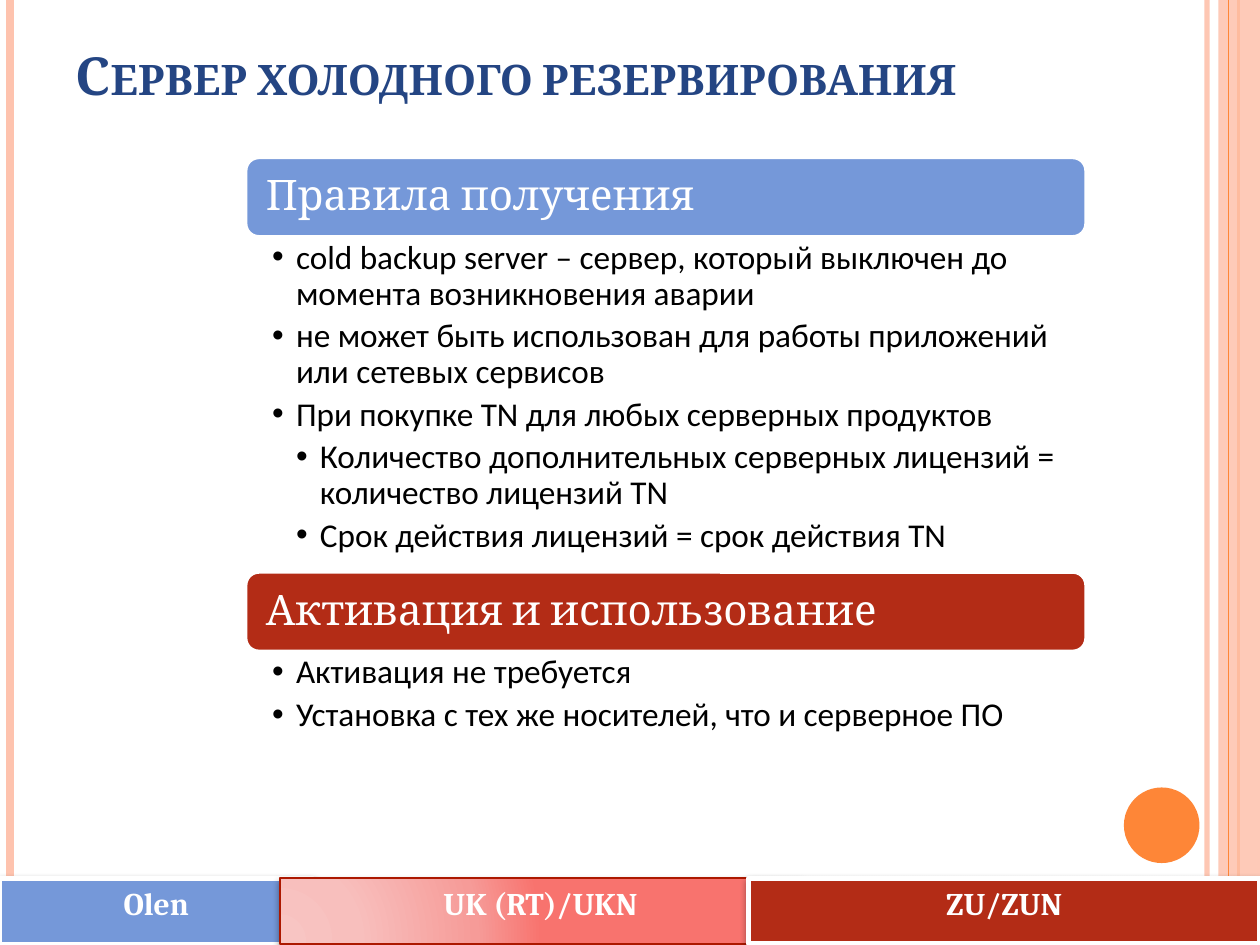
import lxml.etree
import pptx
import pptx.dml.color
import pptx.enum.shapes
import pptx.enum.text
import pptx.oxml.ns
import pptx.util

Inches = pptx.util.Inches
Pt = pptx.util.Pt
RGB = pptx.dml.color.RGBColor
Shape = pptx.enum.shapes.MSO_SHAPE
Align = pptx.enum.text.PP_ALIGN
Anchor = pptx.enum.text.MSO_ANCHOR
qn = pptx.oxml.ns.qn

WHITE = RGB(0xFF, 0xFF, 0xFF)
BLACK = RGB(0x00, 0x00, 0x00)
NAVY = RGB(0x24, 0x45, 0x83)
BLUE = RGB(0x75, 0x98, 0xD9)
RED = RGB(0xB3, 0x2C, 0x16)
BRICK = RGB(0xAC, 0x18, 0x00)
PEACH = RGB(0xFE, 0xC3, 0xAE)
ORANGE = RGB(0xFE, 0x86, 0x37)
ROSE = ((0, RGB(0xF8, 0xC5, 0xC3)), (30, RGB(0xF8, 0xBF, 0xBD)),
        (75, RGB(0xF6, 0x9B, 0x98)), (100, RGB(0xF8, 0x73, 0x6E)))

RULES = (
    ("cold backup server – сервер, который выключен до момента возникновения аварии", 1),
    ("не может быть использован для работы приложений\vили сетевых сервисов", 1),
    ("При покупке TN для любых серверных продуктов", 1),
    ("Количество дополнительных серверных лицензий = количество лицензий TN", 2),
    ("Срок действия лицензий = срок действия TN", 2),
)
USES = (
    ("Активация не требуется", 1),
    ("Установка с тех же носителей, что и серверное ПО", 1),
)


def node(top, tag, **attrs):
    """Add an XML child and return it."""
    kid = lxml.etree.SubElement(top, qn(tag))
    for key, val in attrs.items():
        kid.set(key, str(val))
    return kid


def fade(color, part):
    """Set the opacity of a solid colour, in percent."""
    node(color.find(".//" + qn("a:srgbClr")), "a:alpha", val=part * 1000)


def write(frame, text, font="Cambria", size=18, color=WHITE, bold=False,
          align=Align.LEFT, level=0, space=None, after=0):
    """Add one formatted paragraph, bulleted when it has a level."""
    para = frame.paragraphs[0]
    if para.runs:
        para = frame.add_paragraph()
    para.text = text
    para.alignment = align
    para.space_before = Pt(0)
    para.space_after = Pt(after)
    para.line_spacing = space
    for run in para.runs:
        run.font.name, run.font.size = font, Pt(size)
        run.font.bold, run.font.color.rgb = bold, color
    if level:
        props = para._p.get_or_add_pPr()
        props.set("marL", str(Inches(0.19 * level)))
        props.set("indent", str(-Inches(0.19)))
        node(props, "a:buFont", typeface="Arial")
        node(props, "a:buChar", char="•")
    return para


def setup(frame, side, edge, anchor):
    """Wrap a text frame and set its margins and anchor."""
    frame.word_wrap = True
    frame.margin_left, frame.margin_right = (Inches(x) for x in side)
    frame.margin_top = frame.margin_bottom = Inches(edge)
    frame.vertical_anchor = anchor


def block(slide, box, kind, fill, line=None, width=1):
    """Draw a filled shape in the box."""
    shape = slide.shapes.add_shape(kind, *(Inches(x) for x in box))
    shape.shadow.inherit = False
    shape.fill.solid()
    shape.fill.fore_color.rgb = fill
    if line is None:
        shape.line.fill.background()
    else:
        shape.line.color.rgb = line
        shape.line.width = Pt(width)
    return shape


def stripe(slide, x, color, width, part=100):
    """Draw a full-height line at x."""
    line = slide.shapes.add_connector(
        pptx.enum.shapes.MSO_CONNECTOR.STRAIGHT,
        Inches(x), Inches(0), Inches(x), Inches(7.5))
    line.line.color.rgb = color
    line.line.width = Pt(width)
    if part < 100:
        fade(line._element.spPr, part)
    node(line._element.spPr, "a:effectLst")


def frame_page(slide):
    """Draw the side stripes and the dot."""
    stripe(slide, 9.58, PEACH, 3, 93)
    stripe(slide, 0.08, PEACH, 4.5)
    stripe(slide, 9.83, ORANGE, 1.5)
    band = block(slide, (9.67, 0, 0.33, 7.5), Shape.RECTANGLE, PEACH)
    fade(band._element.spPr, 87)
    stripe(slide, 9.75, ORANGE, 0.75)
    block(slide, (8.92, 6.25, 0.6, 0.6), Shape.OVAL, ORANGE)


def glow(shape, stops):
    """Swap the fill for a round gradient."""
    props = shape._element.spPr
    grad = lxml.etree.Element(qn("a:gradFill"), rotWithShape="1")
    props.replace(props.find(qn("a:solidFill")), grad)
    chain = node(grad, "a:gsLst")
    for pos, color in stops:
        node(node(chain, "a:gs", pos=pos * 1000), "a:srgbClr", val=color)
    round_to = node(grad, "a:path", path="circle")
    node(round_to, "a:fillToRect", l=5000, t=100000, r=120000, b=10000)


def shade(shape):
    """Give the shape a soft shadow below."""
    effect = shape._element.spPr.find(qn("a:effectLst"))
    cast = node(effect, "a:outerShdw", blurRad=Pt(4), dist=Pt(2),
                dir=5400000, rotWithShape=0)
    node(node(cast, "a:srgbClr", val=BLACK), "a:alpha", val=40000)


def tab(slide, box, text, fill, line, width, stops=None):
    """Draw one labelled part of the bottom bar."""
    shape = block(slide, box, Shape.RECTANGLE, fill, line, width)
    if stops:
        glow(shape, stops)
    shade(shape)
    setup(shape.text_frame, (0.1, 0.1), 0.05, Anchor.TOP)
    write(shape.text_frame, text, bold=True, align=Align.CENTER)


def foot(slide, top):
    """Draw the bottom bar of licence types."""
    tab(slide, (0, top, 2.48, 0.53), "Olen", BLUE, WHITE, 2.75)
    tab(slide, (2.22, top, 4.14, 0.52), "UK (RT)/UKN", ROSE[0][1], BRICK, 1, ROSE)
    tab(slide, (5.94, top, 4.06, 0.52), "ZU/ZUN", RED, WHITE, 2.75)


def head(slide, box, text):
    """Place and format the title."""
    title = slide.shapes.title
    title.left, title.top, title.width, title.height = (Inches(x) for x in box)
    setup(title.text_frame, (0.1, 0.1), 0.05, Anchor.BOTTOM)
    para = write(title.text_frame, text, size=30, color=NAVY, bold=True)
    para.runs[0].font._element.set("cap", "small")


def section(slide, box, text, fill, items):
    """Draw a header bar with its bullet list below."""
    left, top, width, height = box
    bar = block(slide, (left, top, width, 0.63), Shape.ROUNDED_RECTANGLE,
                fill, WHITE, 2)
    setup(bar.text_frame, (0.13, 0.13), 0.1, Anchor.MIDDLE)
    write(bar.text_frame, text, size=24, space=0.9)
    body = slide.shapes.add_textbox(Inches(left), Inches(top + 0.63),
                                    Inches(width), Inches(height - 0.63))
    setup(body.text_frame, (0.21, 0.19), 0.03, Anchor.TOP)
    for item, level in items:
        write(body.text_frame, item, font="Calibri", size=19, color=BLACK,
              level=level, space=0.9, after=3.8)


def main():
    """Build the slide and save it."""
    deck = pptx.Presentation()
    deck.slide_width, deck.slide_height = Inches(10), Inches(7.5)
    slide = deck.slides.add_slide(deck.slide_layouts[5])
    frame_page(slide)
    foot(slide, 6.97)
    head(slide, (0.5, 0.03, 9, 0.86), "Сервер холодного резервирования")
    section(slide, (1.95, 1.25, 6.67, 3.29), "Правила получения", BLUE, RULES)
    section(slide, (1.95, 4.54, 6.67, 1.36), "Активация и использование", RED, USES)
    deck.save("out.pptx")


if __name__ == "__main__":
    main()
